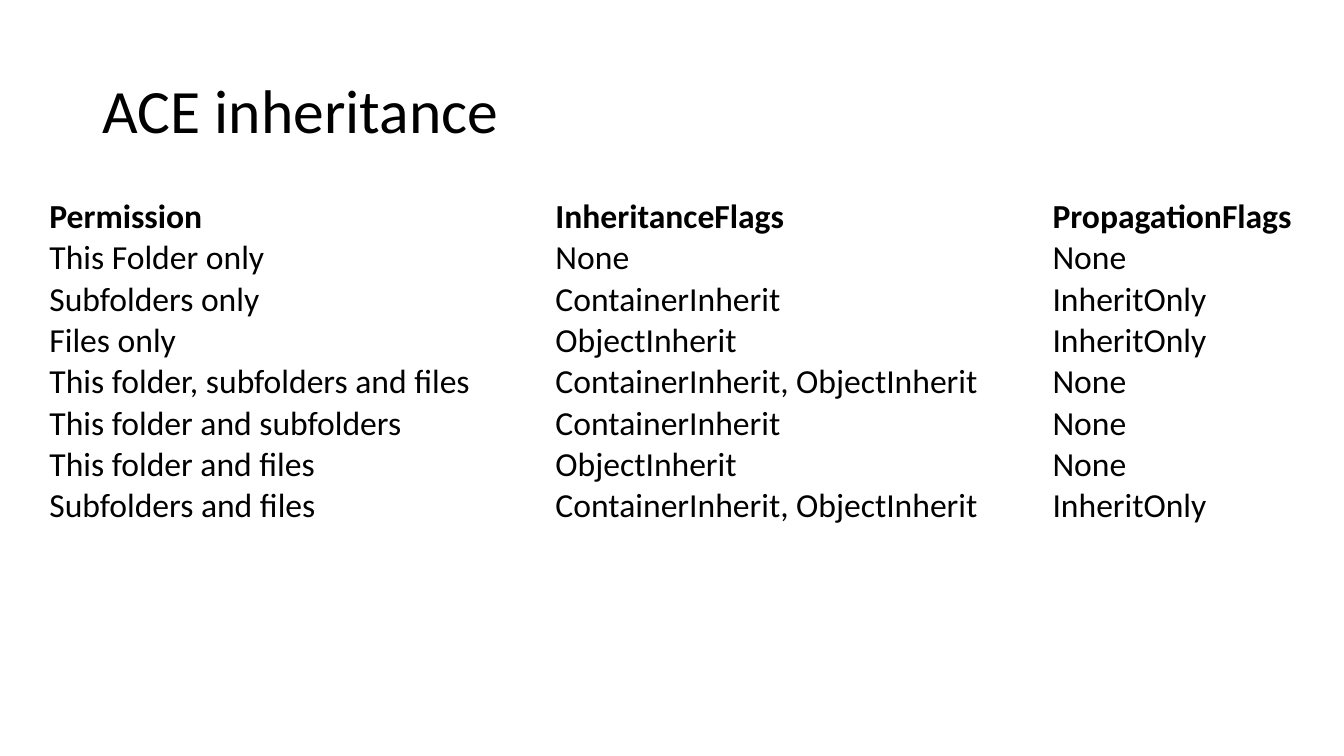
from dataclasses import dataclass

from pptx import Presentation
from pptx.dml.color import RGBColor
from pptx.enum.text import MSO_ANCHOR
from pptx.util import Inches, Pt


@dataclass(frozen=True)
class Theme:
    font: str = "Calibri"
    ink: RGBColor = RGBColor(0, 0, 0)
    title_size: int = 44
    table_size: int = 24


THEME = Theme()
COLUMN_WIDTHS = (5.02, 4.93, 2.43)
ROW_HEIGHT = 0.41
CELL_INSET = 0.01
PERMISSIONS = (
    ("Permission", "InheritanceFlags", "PropagationFlags"),
    ("This Folder only", "None", "None"),
    ("Subfolders only", "ContainerInherit", "InheritOnly"),
    ("Files only", "ObjectInherit", "InheritOnly"),
    ("This folder, subfolders and files", "ContainerInherit, ObjectInherit", "None"),
    ("This folder and subfolders", "ContainerInherit", "None"),
    ("This folder and files", "ObjectInherit", "None"),
    ("Subfolders and files", "ContainerInherit, ObjectInherit", "InheritOnly"),
)


def write(frame, text, *, size, bold=False, line_spacing=None):
    para = frame.paragraphs[0]
    para.line_spacing = line_spacing
    span = para.add_run()
    span.text = text
    span.font.name = THEME.font
    span.font.size = Pt(size)
    span.font.bold = bold
    span.font.color.rgb = THEME.ink


def add_title(page, text):
    box = page.shapes.add_textbox(Inches(0.92), Inches(0.4), Inches(11.5), Inches(1.45))
    frame = box.text_frame
    frame.word_wrap = True
    frame.vertical_anchor = MSO_ANCHOR.MIDDLE
    write(frame, text, size=THEME.title_size, line_spacing=0.9)


def fill_cell(cell, text, bold):
    cell.fill.background()
    cell.vertical_anchor = MSO_ANCHOR.BOTTOM
    cell.margin_left = cell.margin_right = cell.margin_top = Inches(CELL_INSET)
    cell.margin_bottom = Inches(0)
    write(cell.text_frame, text, size=THEME.table_size, bold=bold)


def add_permission_table(page, rows):
    table = page.shapes.add_table(
        len(rows), len(COLUMN_WIDTHS), Inches(0.48), Inches(1.94),
        Inches(sum(COLUMN_WIDTHS)), Inches(ROW_HEIGHT * len(rows)),
    ).table
    table.first_row = False
    table.horz_banding = False
    for column, width in zip(table.columns, COLUMN_WIDTHS):
        column.width = Inches(width)
    for row_index, row in enumerate(rows):
        for column_index, text in enumerate(row):
            fill_cell(table.cell(row_index, column_index), text, row_index == 0)


def main():
    deck = Presentation()
    deck.slide_width = Inches(13.33)
    deck.slide_height = Inches(7.5)
    page = deck.slides.add_slide(deck.slide_layouts[6])
    add_title(page, "ACE inheritance")
    add_permission_table(page, PERMISSIONS)
    deck.save("out.pptx")


if __name__ == "__main__":
    main()
